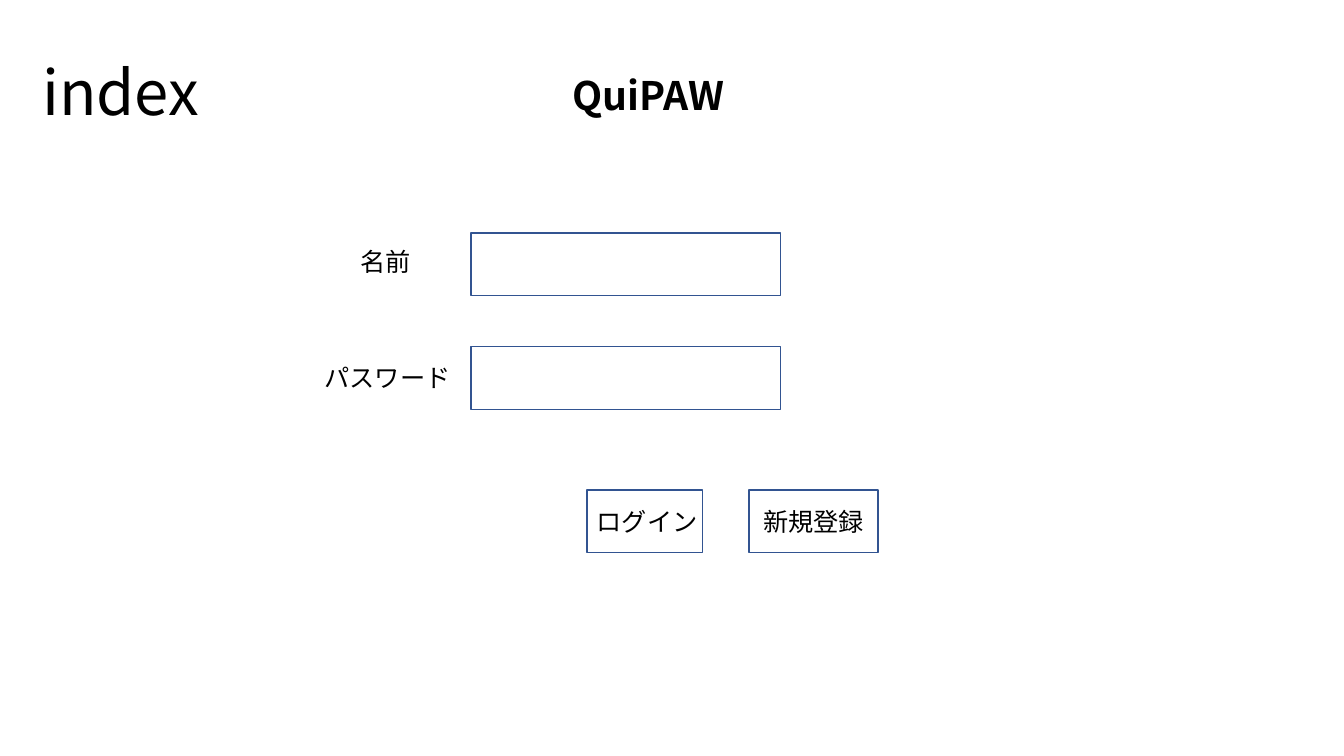
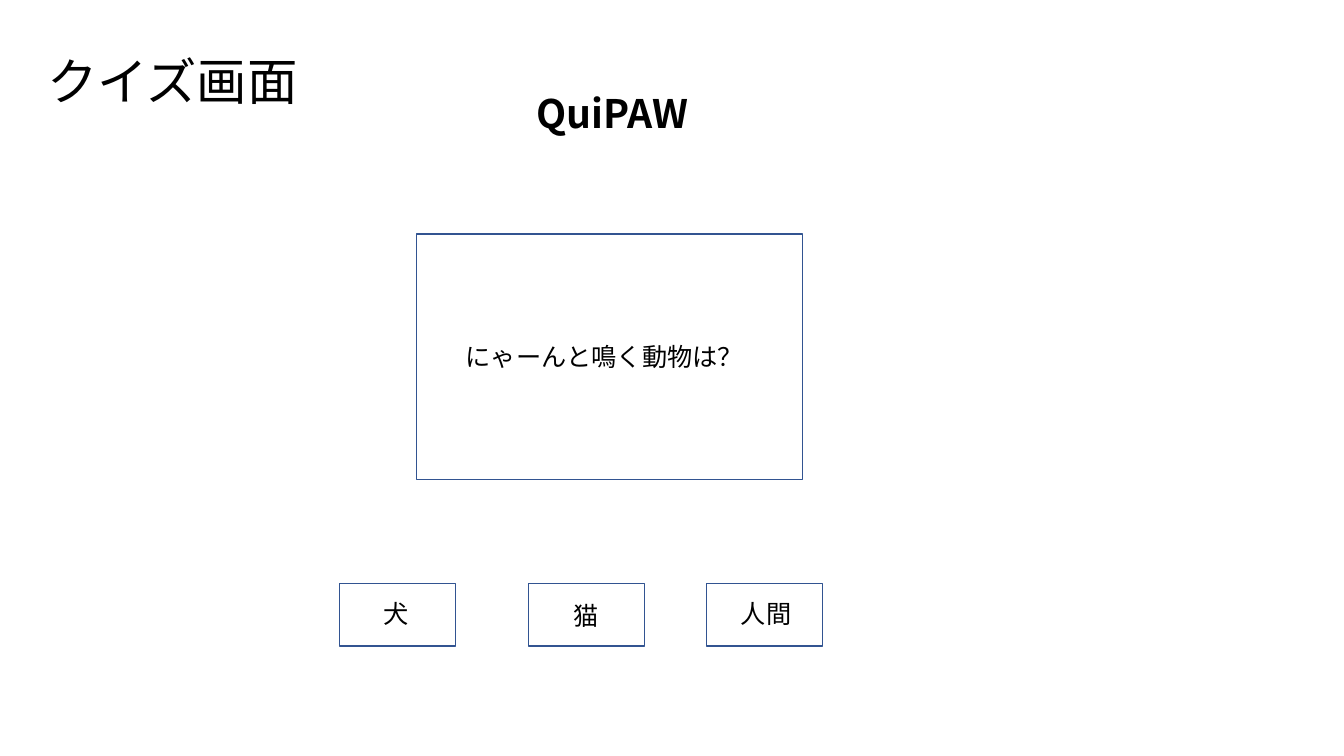
from lxml import etree
from pptx import Presentation
from pptx.dml.color import RGBColor
from pptx.enum.shapes import MSO_SHAPE
from pptx.enum.text import MSO_ANCHOR, MSO_AUTO_SIZE
from pptx.oxml.ns import qn
from pptx.util import Inches, Pt

RECTANGLE = MSO_SHAPE.RECTANGLE
MIDDLE = MSO_ANCHOR.MIDDLE
FIT_TEXT = MSO_AUTO_SIZE.SHAPE_TO_FIT_TEXT
NO_FIT = MSO_AUTO_SIZE.NONE

FONT = "Noto Sans CJK JP"
COLORS = {"text": "000000", "outline": "325491"}
BLANK_LAYOUT = 6
APP_NAME = "QuiPAW"

LABEL = {"size": Pt(18), "bold": False}
BRAND = {"size": Pt(28), "bold": True}

FIELD_SIZE = (3.07, 0.62)
BUTTON_SIZE = (1.15, 0.62)
LABEL_HEIGHT = 0.4


def color(name):
    return RGBColor.from_string(COLORS[name])


def add_text(slide, text, left, top, width, height, style):
    box = slide.shapes.add_textbox(*map(Inches, (left, top, width, height)))
    frame = box.text_frame
    frame.word_wrap = True
    frame.auto_size = FIT_TEXT
    span = frame.paragraphs[0].add_run()
    span.text = text
    for name, value in {"name": FONT, **style}.items():
        setattr(span.font, name, value)
    span.font.color.rgb = color("text")
    east_asian = etree.SubElement(span.font._element, qn("a:ea"))
    east_asian.set("typeface", FONT)
    return box


def add_label(slide, text, left, top, width):
    add_text(slide, text, left, top, width, LABEL_HEIGHT, LABEL)


def add_title(slide, text, left, top, size):
    box = add_text(slide, text, left, top, 11.5, 1.45, {"size": Pt(size)})
    frame = box.text_frame
    frame.auto_size = NO_FIT
    frame.vertical_anchor = MIDDLE
    frame.paragraphs[0].line_spacing = 0.9


def add_app_name(slide, left, top):
    add_text(slide, APP_NAME, left, top, 1.8, 0.57, BRAND)


def add_outline(slide, left, top, width, height):
    box = slide.shapes.add_shape(
        RECTANGLE, *map(Inches, (left, top, width, height)))
    box.shadow.inherit = False
    box.fill.background()
    box.line.color.rgb = color("outline")
    box.line.width = Pt(1)


def build_login(slide):
    add_title(slide, "index", 0.32, 0.22, 44)
    add_app_name(slide, 5.58, 0.66)
    fields = [("名前", 2.31, 3.48, 2.39, 1),
              ("パスワード", 3.44, 3.12, 3.55, 1.46)]
    for text, field_top, left, top, width in fields:
        add_outline(slide, 4.67, field_top, *FIELD_SIZE)
        add_label(slide, text, left, top, width)
    buttons = [("ログイン", 5.82, 1.15, 5.82, 1.33),
               ("新規登録", 7.43, 1.28, 7.47, 1.28)]
    for text, button_left, button_width, left, width in buttons:
        add_outline(slide, button_left, 4.86, button_width, BUTTON_SIZE[1])
        add_label(slide, text, left, 4.97, width)


def build_quiz(slide):
    add_title(slide, "クイズ画面", 0.37, 0.11, 36)
    add_app_name(slide, 5.22, 0.84)
    add_outline(slide, 4.13, 2.32, 3.83, 2.44)
    add_label(slide, "にゃーんと鳴く動物は？", 4.52, 3.34, 3.43)
    answers = [("犬", 3.37, 3.71, 5.89),
               ("猫", 5.24, 5.59, 5.91),
               ("人間", 7.01, 7.25, 5.89)]
    for text, button_left, left, top in answers:
        add_outline(slide, button_left, 5.79, *BUTTON_SIZE)
        add_label(slide, text, left, top, 1.33)


def main():
    deck = Presentation()
    deck.slide_width = Inches(13.33)
    deck.slide_height = Inches(7.5)
    for build_page in (build_login, build_quiz):
        build_page(deck.slides.add_slide(deck.slide_layouts[BLANK_LAYOUT]))
    deck.save("out.pptx")


if __name__ == "__main__":
    main()
